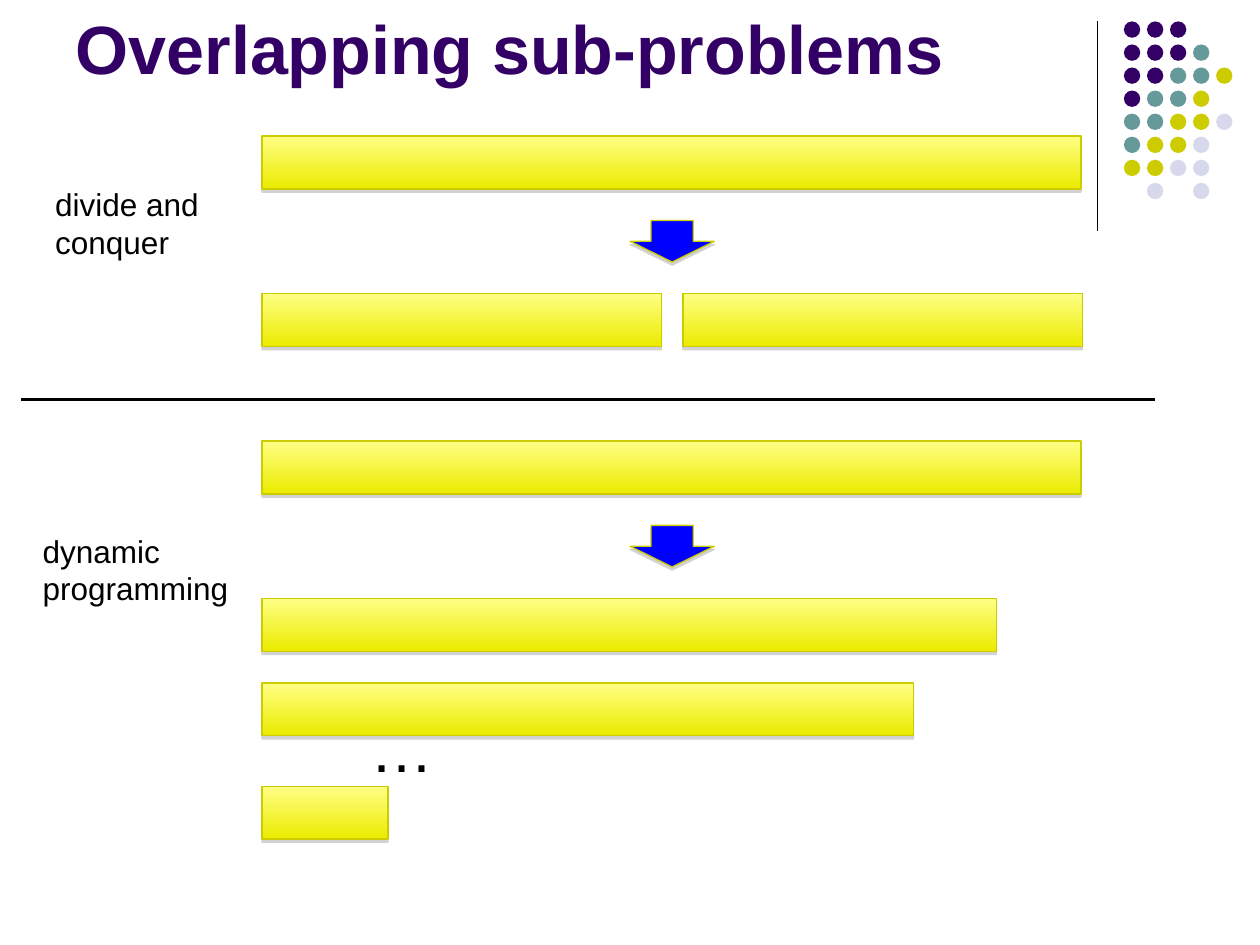
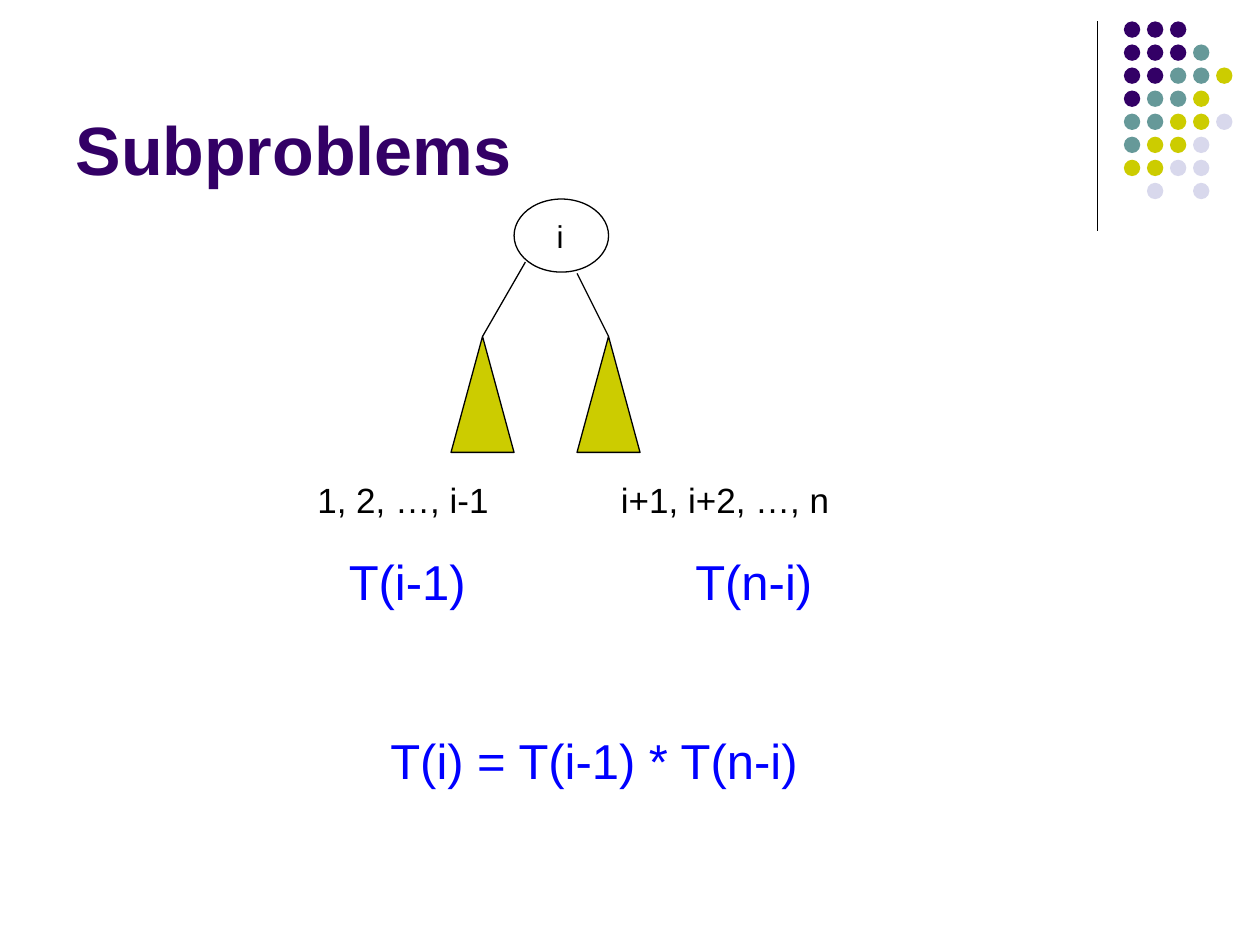
"""Build two slides on overlapping subproblems in dynamic programming."""
from lxml.etree import SubElement
from pptx import Presentation
from pptx.dml.color import RGBColor
from pptx.enum.shapes import MSO_CONNECTOR as CONN, MSO_SHAPE as SHAPE
from pptx.enum.text import MSO_ANCHOR as ANCHOR, MSO_AUTO_SIZE as AUTO, PP_ALIGN as ALIGN
from pptx.oxml.ns import qn
from pptx.util import Inches, Pt

COLORS = {
    "purple": "330066",
    "teal": "669999",
    "olive": "CCCC00",
    "lilac": "D8D8EC",
    "bar_top": "FFFF85",
    "bar_bottom": "EBEB00",
    "blue": "0000FF",
    "black": "000000",
    "shadow": "808080",
}
FONT = "Arial"
DOT_ROWS = ["PPP", "PPPT", "PPTTO", "PTTO", "TTOOL", "TOOL", "OOLL", " L L"]
DOT_COLORS = {"P": "purple", "T": "teal", "O": "olive", "L": "lilac"}
BAR_LEFT, BAR_HEIGHT, FULL_WIDTH = 2.08, 0.42, 6.5


def rgb(name):
    return RGBColor.from_string(COLORS[name])


def format_text(tf, size, color, bold=False):
    for p in tf.paragraphs:
        for r in p.runs:
            r.font.name = FONT
            r.font.size = Pt(size)
            r.font.bold = bold
            r.font.color.rgb = rgb(color)


def add_shape(slide, kind, left, top, width, height, fill=None, line=None):
    sp = slide.shapes.add_shape(kind, Inches(left), Inches(top), Inches(width), Inches(height))
    sp.shadow.inherit = False
    if fill:
        sp.fill.solid()
        sp.fill.fore_color.rgb = rgb(fill)
    else:
        sp.fill.background()
    if line:
        sp.line.color.rgb = rgb(line)
        sp.line.width = Pt(0.75)
    else:
        sp.line.fill.background()
    return sp


def add_line(slide, x1, y1, x2, y2, width=0.75):
    line = slide.shapes.add_connector(CONN.STRAIGHT, Inches(x1), Inches(y1), Inches(x2), Inches(y2))
    line.line.color.rgb = rgb("black")
    line.line.width = Pt(width)
    SubElement(line._element.spPr, qn("a:effectLst"))
    return line


def add_label(slide, text, left, top, width, height, size, color="black", wrap=True):
    box = slide.shapes.add_textbox(Inches(left), Inches(top), Inches(width), Inches(height))
    tf = box.text_frame
    tf.text = text
    tf.word_wrap = wrap
    tf.auto_size = AUTO.SHAPE_TO_FIT_TEXT
    format_text(tf, size, color)


def add_drop_shadow(sp):
    effects = sp._element.spPr.find(qn("a:effectLst"))
    shadow = SubElement(effects, qn("a:outerShdw"), blurRad="0", dist=str(Pt(1.8)),
                        dir="5400000", rotWithShape="0")
    color = SubElement(shadow, qn("a:srgbClr"), val=COLORS["shadow"])
    SubElement(color, qn("a:alpha"), val="35000")


def add_bar(slide, top, width, left=BAR_LEFT):
    sp = add_shape(slide, SHAPE.RECTANGLE, left, top, width, BAR_HEIGHT, line="olive")
    sp.fill.gradient()
    sp.fill.gradient_angle = 270
    for stop, color in zip(sp.fill.gradient_stops, ("bar_top", "bar_bottom")):
        stop.color.rgb = rgb(color)
    add_drop_shadow(sp)


def add_down_arrow(slide, top):
    sp = add_shape(slide, SHAPE.DOWN_ARROW, 5, top, 0.67, 0.33, "blue", "olive")
    add_drop_shadow(sp)


def add_subtree(slide, left, line_x, line_y):
    sp = add_shape(slide, SHAPE.ISOSCELES_TRIANGLE, left, 2.67, 0.5, 0.92, "olive", "black")
    add_line(slide, line_x, line_y, left + 0.25, 2.67).end_connect(sp, 0)


def decorate_layout(layout, slide):
    """Draw the corner rule and dots, then move them to the shared layout."""
    marks = [add_line(slide, 8.71, 0.17, 8.71, 1.83)]
    for row, codes in enumerate(DOT_ROWS):
        for col, code in enumerate(codes):
            if code in DOT_COLORS:
                marks.append(add_shape(slide, SHAPE.OVAL, 8.92 + col * 0.183, 0.17 + row * 0.183,
                                       0.13, 0.13, DOT_COLORS[code]))
    for mark in marks:
        layout.shapes.element.append(mark._element)


def set_title(slide, text, height):
    title = slide.shapes.title
    title.left, title.top = Inches(0.5), Inches(0.13)
    title.width, title.height = Inches(8.25), Inches(height)
    tf = title.text_frame
    tf.text = text
    tf.auto_size = AUTO.NONE
    tf.vertical_anchor = ANCHOR.BOTTOM
    tf.paragraphs[0].alignment = ALIGN.LEFT
    format_text(tf, 39, "purple", bold=True)


def build_overlapping(slide):
    set_title(slide, "Overlapping sub-problems", 0.62)
    add_bar(slide, 1.08, FULL_WIDTH)
    for left in (BAR_LEFT, 5.42):
        add_bar(slide, 2.33, 3.17, left)
    for top, width in ((3.5, FULL_WIDTH), (4.75, 5.83), (5.42, 5.17), (6.24, 1)):
        add_bar(slide, top, width)
    for top in (1.75, 4.17):
        add_down_arrow(slide, top)
    add_label(slide, "…", 2.84, 5.58, 0.7, 0.7, 36, wrap=False)
    add_line(slide, 0.17, 3.17, 9.17, 3.17, 2)
    add_label(slide, "divide and\vconquer", 0.34, 1.42, 1.34, 0.7, 18, wrap=False)
    add_label(slide, "dynamic\nprogramming", 0.24, 4.17, 1.67, 0.7, 18, wrap=False)


def build_subproblems(slide):
    set_title(slide, "Subproblems", 1.42)
    add_label(slide, " i", 4.25, 1.67, 0.67, 0.4, 18)
    add_shape(slide, SHAPE.OVAL, 4.08, 1.58, 0.75, 0.58, line="black")
    add_subtree(slide, 4.58, 4.58, 2.17)
    add_subtree(slide, 3.58, 4.17, 2.08)
    for text, left, width in (("1, 2, …, i-1", 2.42, 1.75), ("i+1, i+2, …, n", 4.83, 2.17)):
        add_label(slide, text, left, 3.75, width, 0.44, 20)
    for text, left, top, width in (
        ("T(i-1)", 2.67, 4.33, 1.17),
        ("T(n-i)", 5.42, 4.33, 1.42),
        ("T(i) = T(i-1) * T(n-i)", 3, 5.75, 3.58),
    ):
        add_label(slide, text, left, top, width, 0.57, 28, "blue")


def main():
    prs = Presentation()
    prs.slide_width, prs.slide_height = Inches(10), Inches(7.5)
    layout = prs.slide_layouts[5]
    overlapping, subproblems = (prs.slides.add_slide(layout) for _ in range(2))
    decorate_layout(layout, overlapping)
    build_overlapping(overlapping)
    build_subproblems(subproblems)
    prs.save("out.pptx")


if __name__ == "__main__":
    main()
